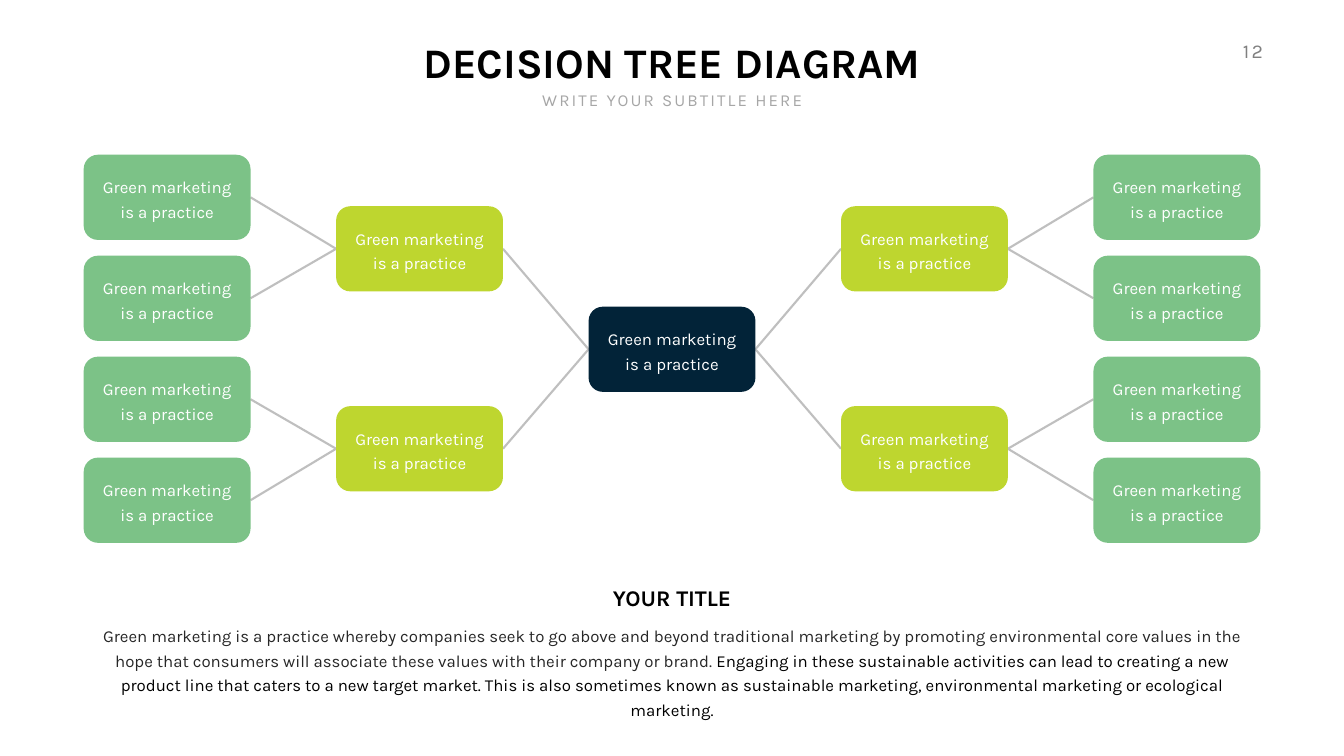
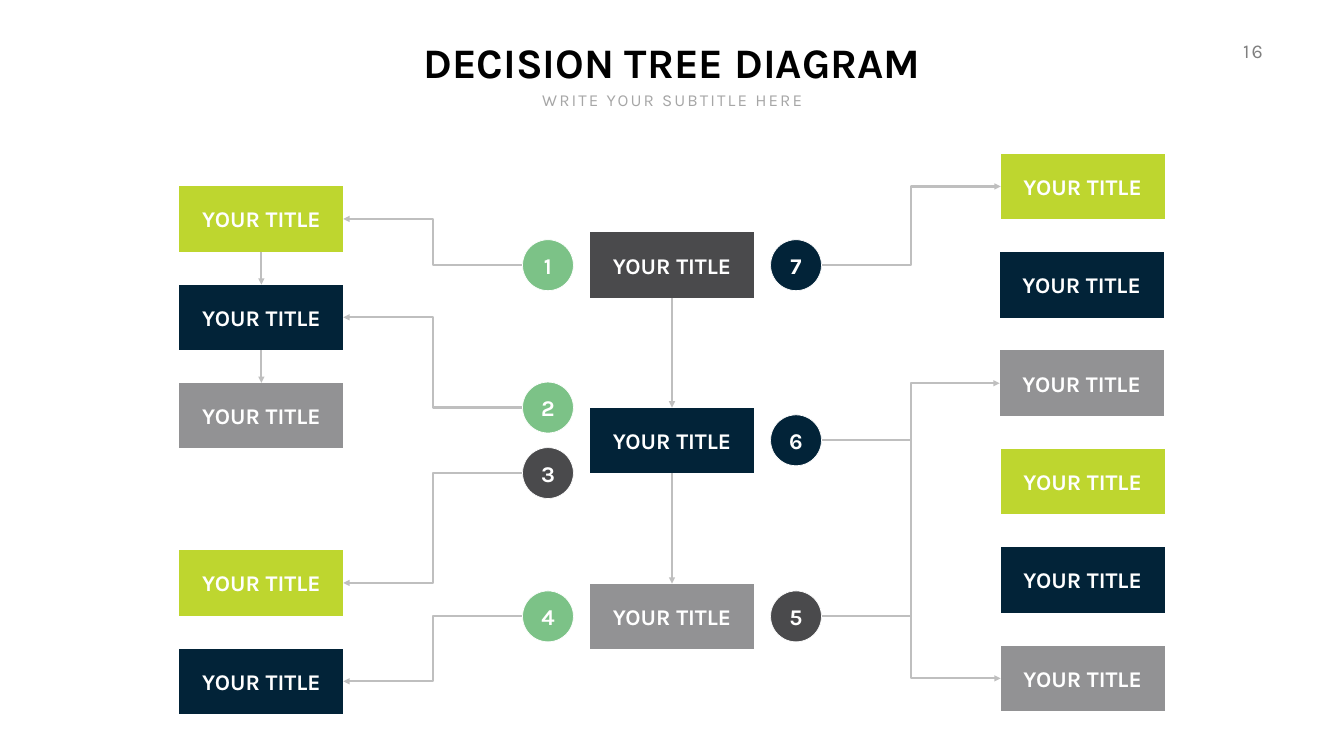
from collections import namedtuple

from pptx import Presentation
from pptx import util as u
from pptx.dml.color import RGBColor
from pptx.enum import shapes, text
from pptx.oxml import ns
from lxml import etree

# Shared look
FONT = "Karla"
WHITE = RGBColor(0xFF, 0xFF, 0xFF)
BLACK = RGBColor(0x00, 0x00, 0x00)
INK = RGBColor(0x27, 0x27, 0x27)
NAVY = RGBColor(0x02, 0x23, 0x38)
LIME = RGBColor(0xBE, 0xD6, 0x2F)
GREEN = RGBColor(0x7C, 0xC2, 0x87)
CHARCOAL = RGBColor(0x4A, 0x4A, 0x4C)
GREY = RGBColor(0x92, 0x92, 0x94)
LINE_GREY = RGBColor(0xBF, 0xBF, 0xBF)
SUBTITLE_GREY = RGBColor(0xA6, 0xA6, 0xA6)
NUMBER_GREY = RGBColor(0x80, 0x80, 0x80)

SLIDE_W, SLIDE_H = 26.66, 15
TITLE_AND_BODY, TITLE_ONLY = 1, 5
CENTER, RIGHT = text.PP_ALIGN.CENTER, text.PP_ALIGN.RIGHT
TOP, MIDDLE = text.MSO_ANCHOR.TOP, text.MSO_ANCHOR.MIDDLE
SHAPE, CONNECTOR = shapes.MSO_SHAPE, shapes.MSO_CONNECTOR


class Box(namedtuple("Box", "left top width height")):
    @property
    def right(self):
        return self.left + self.width

    @property
    def bottom(self):
        return self.top + self.height

    @property
    def center(self):
        return self.left + self.width / 2

    @property
    def middle(self):
        return self.top + self.height / 2

    def inches(self):
        return [u.Inches(length) for length in self]


# Regions
HEADER = Box(0, 0.67, SLIDE_W, 1.55)
TREE = Box(1.66, 3.07, 23.34, 7.7)
CAPTION = Box(1.66, 11.54, 23.34, 2.34)
FLOW = Box(3.56, 3.05, 19.54, 11.06)


def write(frame, spans, size, color=BLACK, bold=False, align=CENTER, anchor=TOP,
          spacing=None, leading=None, wrap=True, insets=(0.1, 0.05), bullet=True):
    """Fill a frame with one paragraph; spans is a text or (text, colour) pairs."""
    frame.auto_size = text.MSO_AUTO_SIZE.NONE
    frame.word_wrap = wrap
    frame.vertical_anchor = anchor
    frame.margin_left = frame.margin_right = u.Inches(insets[0])
    frame.margin_top = frame.margin_bottom = u.Inches(insets[1])
    para = frame.paragraphs[0]
    if not bullet:
        properties = para._p.get_or_add_pPr()
        properties.set("marL", "0")
        properties.set("indent", "0")
        etree.SubElement(properties, ns.qn("a:buNone"))
    para.alignment = align
    para.space_before = u.Pt(0)
    if leading:
        para.line_spacing = u.Pt(leading)
    for words, shade in [(spans, color)] if isinstance(spans, str) else spans:
        span = para.add_run()
        span.text = words
        span.font.name = FONT
        span.font.size = u.Pt(size)
        span.font.bold = bold
        span.font.color.rgb = shade
        if spacing:
            span.font._element.set("spc", str(spacing * 100))


def add_label(page, box, words, **style):
    label = page.shapes.add_textbox(*box.inches())
    write(label.text_frame, words, wrap=False, **style)


def fill_placeholder(holder, box, words, **style):
    holder.left, holder.top, holder.width, holder.height = box.inches()
    write(holder.text_frame, words, **style)


def add_block(page, kind, box, fill, words, outline=None, **style):
    block = page.shapes.add_shape(kind, *box.inches())
    block.shadow.inherit = False
    block.fill.solid()
    block.fill.fore_color.rgb = fill
    if outline:
        block.line.color.rgb = outline
        block.line.width = u.Pt(1)
    else:
        block.line.fill.background()
    write(block.text_frame, words, color=WHITE, anchor=MIDDLE, **style)


def add_link(page, start, end, kind=CONNECTOR.STRAIGHT, arrow=True):
    link = page.shapes.add_connector(kind, *[u.Inches(n) for n in (*start, *end)])
    link.line.color.rgb = LINE_GREY
    link.line.width = u.Pt(3)
    if arrow:
        etree.SubElement(link.line._get_or_add_ln(), ns.qn("a:tailEnd"), type="triangle")
    etree.SubElement(link._element.spPr, ns.qn("a:effectLst"))


def add_header(page, box, number):
    fill_placeholder(page.shapes.title, Box(box.center - 5.3, box.top, 10.6, 1.11),
                     "DECISION TREE DIAGRAM", size=60, bold=True, wrap=False)
    add_label(page, Box(box.center - 2.71, box.top + 1.06, 5.43, 0.5),
              "WRITE YOUR SUBTITLE HERE", size=24, color=SUBTITLE_GREY, spacing=3)
    add_label(page, Box(box.right - 2.39, box.top + 0.05, 0.88, 0.57), number,
              size=28, color=NUMBER_GREY, spacing=3, align=RIGHT)


def add_tree(page, box):
    card_w, card_h = 3.31, 1.69
    column = (box.width - card_w) / 4
    row = (box.height - card_h) / 6

    def card(col, line):
        return Box(box.left + col * column, box.top + line * row, card_w, card_h)

    root = card(2, 3.01)
    cards = [(root, NAVY)]
    pairs = []
    for branch_col, leaf_col in ((1, 0), (3, 4)):
        for branch_line, leaf_lines in ((1.02, (0, 2)), (4.98, (4, 6))):
            branch = card(branch_col, branch_line)
            leaves = [card(leaf_col, line) for line in leaf_lines]
            cards += [(branch, LIME)] + [(leaf, GREEN) for leaf in leaves]
            pairs += [(root, branch)] + [(branch, leaf) for leaf in leaves]

    # Branch lines lie behind the cards
    for pair in pairs:
        first, second = sorted(pair)
        add_link(page, (first.right, first.middle), (second.left, second.middle), arrow=False)
    for place, fill in cards:
        add_block(page, SHAPE.ROUNDED_RECTANGLE, place, fill,
                  "Green marketing is a practice", size=24, leading=35, insets=(0.2, 0.05))


def add_caption(page, box):
    add_label(page, Box(box.center - 1.34, box.top, 2.68, 0.64), "YOUR TITLE",
              size=32, bold=True)
    fill_placeholder(
        page.placeholders[1], Box(box.left, box.top + 0.67, box.width, box.height - 0.67),
        [("Green marketing is a practice whereby companies seek to go above and beyond "
          "traditional marketing by promoting environmental core values in the hope that "
          "consumers will associate these values with their company or brand. ", INK),
         ("Engaging in these sustainable activities can lead to creating a new product line "
          "that caters to a new target market. This is also sometimes known as sustainable "
          "marketing, environmental marketing or ecological marketing.", BLACK)],
        size=24, leading=35, insets=(0.24, 0.12), bullet=False)


def add_flow(page, box):
    step_w, step_h, dot = 3.25, 1.3, 1.01
    column = (box.width - step_w) / 2
    row = (box.height - step_h) / 5

    def steps(col, lines):
        return [Box(box.left + col * column, box.top + line * row, step_w, step_h)
                for line in lines]

    left = steps(0, (0.33, 1.33, 2.33, 4.03, 5.03))
    center = steps(1, (0.8, 2.58, 4.37))
    right = steps(2, range(6))
    for line in (1, 2):
        right[line] = right[line]._replace(left=right[line].left - 0.02)

    # Steps
    cycle = (LIME, NAVY, GREY)
    fills = (*cycle, LIME, NAVY, CHARCOAL, NAVY, GREY, *cycle, *cycle)
    for place, fill in zip(left + center + right, fills):
        add_block(page, SHAPE.FLOWCHART_PROCESS, place, fill, "YOUR TITLE",
                  size=32, bold=True, wrap=False)

    # Downward arrows
    for upper, lower in zip(left[:2] + center[:2], left[1:3] + center[1:]):
        add_link(page, (upper.center, upper.bottom), (lower.center, lower.top))

    # Numbered dots, each with an elbow arrow to its step
    first, second, third = center
    dots = ((first.middle, GREEN, left[0]), (second.top, GREEN, left[1]),
            (second.bottom, CHARCOAL, left[3]), (third.middle, GREEN, left[4]),
            (third.middle, CHARCOAL, right[2]), (second.middle, NAVY, right[5]),
            (first.middle, NAVY, right[0]))
    for number, (middle, fill, target) in enumerate(dots, 1):
        if target.left < first.left:
            place = Box(first.left - 0.33 - dot, middle - dot / 2, dot, dot)
            start, end = place.left, target.right
        else:
            place = Box(first.right + 0.33, middle - dot / 2, dot, dot)
            start, end = place.right, target.left
        add_link(page, (start, middle), (end, target.middle), CONNECTOR.ELBOW)
        add_block(page, SHAPE.OVAL, place, fill, str(number), outline=WHITE,
                  size=32, bold=True, wrap=False, insets=(0, 0))


def add_page(deck, layout, number):
    page = deck.slides.add_slide(deck.slide_layouts[layout])
    add_header(page, HEADER, number)
    return page


def main():
    deck = Presentation()
    deck.slide_width, deck.slide_height = u.Inches(SLIDE_W), u.Inches(SLIDE_H)

    tree_page = add_page(deck, TITLE_AND_BODY, "12")
    add_tree(tree_page, TREE)
    add_caption(tree_page, CAPTION)

    flow_page = add_page(deck, TITLE_ONLY, "16")
    add_flow(flow_page, FLOW)

    deck.save("out.pptx")


if __name__ == "__main__":
    main()
